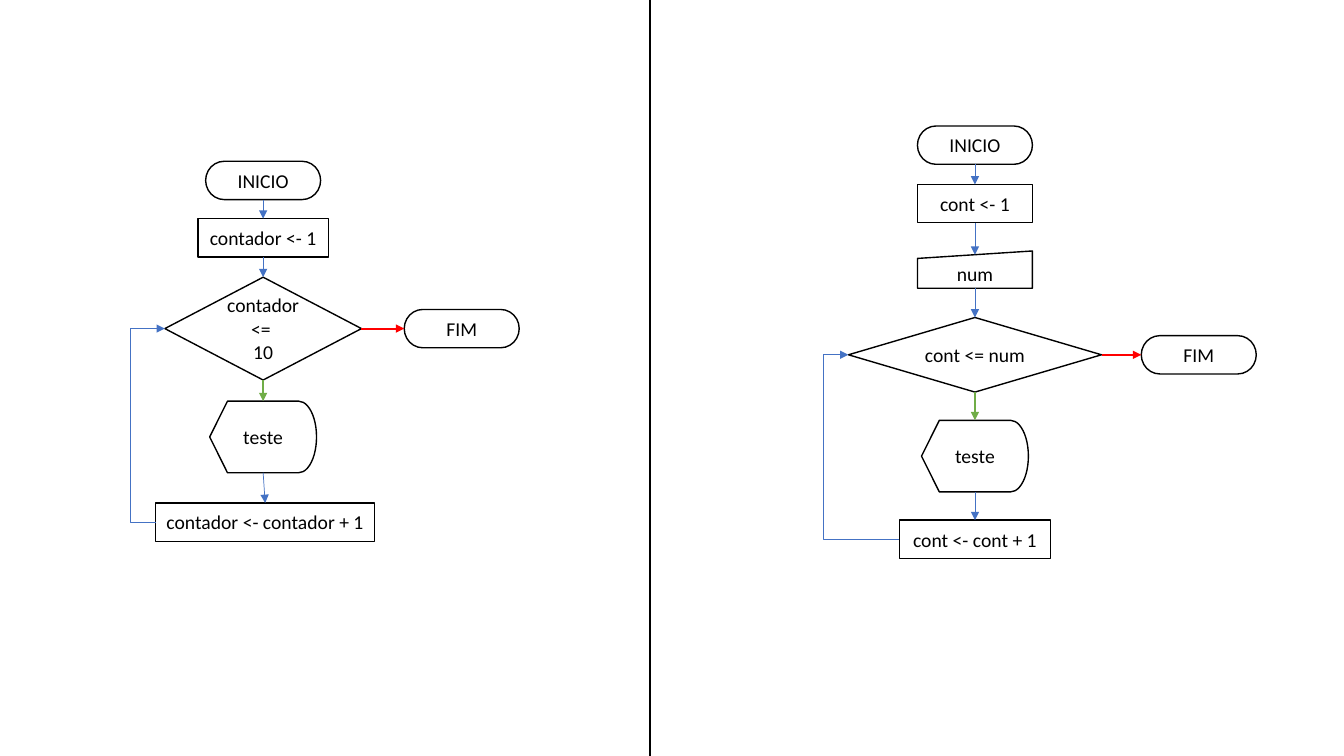
from lxml import etree
from pptx import Presentation
from pptx.dml.color import RGBColor
from pptx.enum import shapes, text
from pptx.oxml.ns import qn
from pptx.util import Inches, Pt

BLACK = RGBColor(0x00, 0x00, 0x00)
BLUE = RGBColor(0x44, 0x72, 0xC4)
GREEN = RGBColor(0x70, 0xAD, 0x47)
RED = RGBColor(0xFF, 0x00, 0x00)

KIND = shapes.MSO_SHAPE
TERMINATOR = KIND.FLOWCHART_TERMINATOR
PROCESS = KIND.FLOWCHART_PROCESS
DECISION = KIND.FLOWCHART_DECISION
DISPLAY = KIND.FLOWCHART_DISPLAY
MANUAL_INPUT = KIND.FLOWCHART_MANUAL_INPUT

ROUND_SIZE = (1.14, 0.38)
LOOP_GAP = 0.25  # distance from the decision (or wider box) to the loop line

# Steps from top to bottom: kind, wording, centre x, top, width, height
FLOWS = [
    {
        "end_left": 4.01,
        "steps": [
            (TERMINATOR, "INICIO", 2.61, 1.6, *ROUND_SIZE),
            (PROCESS, "contador <- 1", 2.61, 2.17, 1.29, 0.38),
            (DECISION, "contador <= \n10", 2.61, 2.75, 1.95, 1.02),
            (DISPLAY, "teste", 2.61, 3.98, 1.06, 0.71),
            (PROCESS, "contador <- contador + 1", 2.63, 4.99, 2.17, 0.38),
        ],
    },
    {
        "end_left": 11.32,
        "steps": [
            (TERMINATOR, "INICIO", 9.67, 1.25, *ROUND_SIZE),
            (PROCESS, "cont <- 1", 9.67, 1.83, 1.14, 0.38),
            (MANUAL_INPUT, "num", 9.67, 2.49, 1.14, 0.37),
            (DECISION, "cont <= num", 9.67, 3.15, 2.51, 0.74),
            (DISPLAY, "teste", 9.67, 4.17, 1.06, 0.71),
            (PROCESS, "cont <- cont + 1", 9.67, 5.16, 1.5, 0.38),
        ],
    },
]


def add_step(page, kind, wording, center, top, width, height):
    box = page.shapes.add_shape(
        kind, Inches(center - width / 2), Inches(top), Inches(width), Inches(height))
    box.shadow.inherit = False
    box.fill.background()
    box.line.color.rgb = BLACK
    box.line.width = Pt(1)
    frame = box.text_frame
    frame.word_wrap = True
    frame.vertical_anchor = text.MSO_ANCHOR.MIDDLE
    frame.text = wording
    for para in frame.paragraphs:
        para.alignment = text.PP_ALIGN.CENTER
        para.font.name = "Calibri"
        para.font.size = Pt(14)
        para.font.color.rgb = BLACK


def add_line(page, start, end, color, width, arrow=True, bend_x=None):
    """Draw a line; bend_x makes it an elbow whose upright part stands there."""
    style = shapes.MSO_CONNECTOR
    line = page.shapes.add_connector(
        style.STRAIGHT if bend_x is None else style.ELBOW,
        *(Inches(value) for value in (*start, *end)))
    line.line.color.rgb = color
    line.line.width = Pt(width)
    properties = line._element.spPr
    if arrow:
        etree.SubElement(properties.find(qn("a:ln")), qn("a:tailEnd"), type="triangle")
    etree.SubElement(properties, qn("a:effectLst"))
    if bend_x is not None:
        share = (bend_x - start[0]) / (end[0] - start[0])
        guides = properties.find(qn("a:prstGeom")).find(qn("a:avLst"))
        etree.SubElement(guides, qn("a:gd"), name="adj1", fmla=f"val {round(share * 100000)}")


def add_flow(page, steps, end_left):
    for step in steps:
        add_step(page, *step)

    for step, following in zip(steps, steps[1:]):
        kind, _, center, top, _, height = step
        next_kind, _, next_center, next_top, _, next_height = following
        if next_kind == MANUAL_INPUT:
            next_top += next_height / 10  # middle of its sloping edge
        color, width = (GREEN, 1.5) if kind == DECISION else (BLUE, 0.5)
        add_line(page, (center, top + height), (next_center, next_top), color, width)

    decision = next(step for step in steps if step[0] == DECISION)
    _, _, center, top, width, height = decision
    middle = top + height / 2
    left = center - width / 2
    end_width, end_height = ROUND_SIZE
    add_step(page, TERMINATOR, "FIM", end_left + end_width / 2,
             middle - end_height / 2, *ROUND_SIZE)
    add_line(page, (center + width / 2, middle), (end_left, middle), RED, 1.5)

    _, _, last_center, last_top, last_width, last_height = steps[-1]
    last_left = last_center - last_width / 2
    add_line(page, (last_left, last_top + last_height / 2), (left, middle), BLUE, 0.5,
             bend_x=min(left, last_left) - LOOP_GAP)


def main():
    deck = Presentation()
    deck.slide_width, deck.slide_height = Inches(13.33), Inches(7.5)
    page = deck.slides.add_slide(deck.slide_layouts[6])
    add_line(page, (6.45, 0), (6.45, 7.5), BLACK, 1.5, arrow=False)
    for flow in FLOWS:
        add_flow(page, **flow)
    deck.save("out.pptx")


if __name__ == "__main__":
    main()
